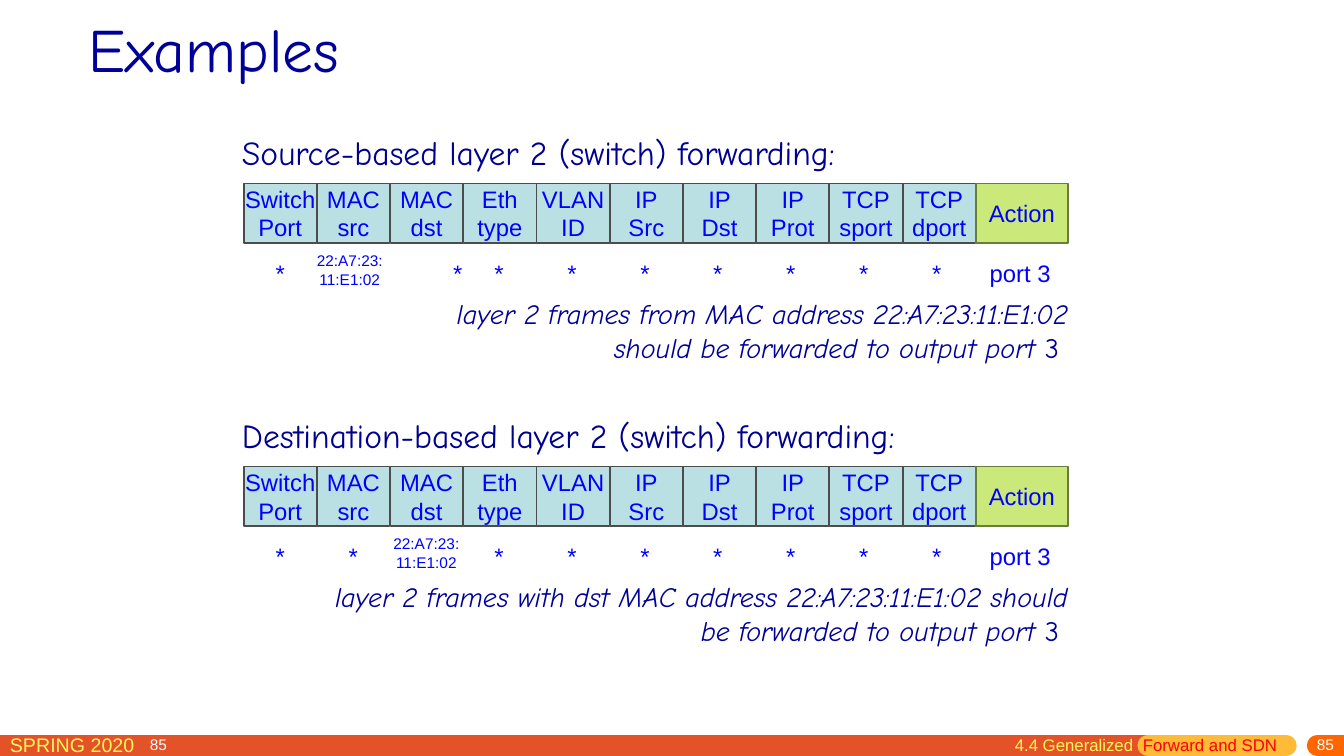
import pptx
import pptx.dml.color
import pptx.enum.shapes
import pptx.enum.text
import pptx.oxml
import pptx.oxml.ns
import pptx.util

Pt = pptx.util.Pt
RGB = pptx.dml.color.RGBColor.from_string
LEFT, CENTER, RIGHT = (getattr(pptx.enum.text.PP_ALIGN, name) for name in ("LEFT", "CENTER", "RIGHT"))
TOP, MIDDLE = pptx.enum.text.MSO_ANCHOR.TOP, pptx.enum.text.MSO_ANCHOR.MIDDLE

# Colours and type sizes
THEME = {
    "fields": {"match": ("BBE0E3", "4C4C4C"), "action": ("CBE97B", "697D3A")},
    "bars": {"main": "E45327", "section": "FFBA37", "number": "FF6600"},
    "text": {
        "title": ("000099", {"name": "Comic Neue", "size": Pt(44)}),
        "heading": ("000090", {"name": "Comic Neue", "size": Pt(24)}),
        "caption": ("000099", {"name": "Comic Neue", "size": Pt(20), "italic": True}),
        "upright": ("000099", {"name": "Comic Neue", "size": Pt(20), "italic": False}),
        "cell": ("0000FF", {"name": "Arial", "size": Pt(17)}),
        "address": ("0000FF", {"name": "Arial", "size": Pt(11)}),
        "term": ("FFF65C", {"name": "Arial", "size": Pt(14)}),
        "chapter": ("FFF65C", {"name": "Arial", "size": Pt(12)}),
        "section": ("FF0000", {"name": "Arial", "size": Pt(12)}),
        "number": ("FFFFFF", {"name": "Arial", "size": Pt(11)}),
    },
}


def write(shape, paragraphs, align, anchor=MIDDLE, margins=(0, 0, 0, 0)):
    """Fill a shape with paragraphs, each a list of (text, style) runs."""
    frame = shape.text_frame
    sides = ("margin_left", "margin_top", "margin_right", "margin_bottom")
    layout = dict(zip(sides, map(Pt, margins)), vertical_anchor=anchor, word_wrap=True)
    for name, value in layout.items():
        setattr(frame, name, value)
    for index, runs in enumerate(paragraphs):
        paragraph = frame.add_paragraph() if index else frame.paragraphs[0]
        paragraph.alignment = align
        for text, style in runs:
            run = paragraph.add_run()
            run.text = text
            color, font_format = THEME["text"][style]
            run.font.color.rgb = RGB(color)
            for name, value in font_format.items():
                setattr(run.font, name, value)


presentation = pptx.Presentation()
presentation.slide_width, presentation.slide_height = Pt(960), Pt(540)
slide = presentation.slides.add_slide(presentation.slide_layouts[5])

# Footer bars with round ends
for name, start, end in (("main", 0, 820), ("section", 820, 918.7), ("number", 941, 960)):
    bar = slide.shapes.add_connector(
        pptx.enum.shapes.MSO_CONNECTOR.STRAIGHT, Pt(start), Pt(532.4), Pt(end), Pt(532.4))
    bar.line.color.rgb = RGB(THEME["bars"][name])
    bar.line.width = Pt(15)
    bar.line._get_or_add_ln().set("cap", "rnd")
    bar._element.spPr.append(pptx.oxml.parse_xml(f'<a:effectLst {pptx.oxml.ns.nsdecls("a")}/>'))

# Title
title = slide.shapes.title
title.left, title.top, title.width, title.height = Pt(56.2), Pt(-10.8), Pt(221), Pt(90)
title.text_frame.auto_size = pptx.enum.text.MSO_AUTO_SIZE.NONE
write(title, [[("Examples", "title")]], LEFT, margins=(7.2, 3.6, 7.2, 3.6))

# Flow entries: a strip of fields, one rule below it, and what the rule does
FIELDS = ["Switch Port", "MAC src", "MAC dst", "Eth type", "VLAN ID",
          "IP Src", "IP Dst", "IP Prot", "TCP sport", "TCP dport", "Action"]
ADDRESS = "22:A7:23: 11:E1:02"
ANY = "*"
FIELD_LEFT, FIELD_STEP, FIELD_WIDTH, FIELD_HEIGHT = 174.2, 52.3, 52, 42.6
ACTION_WIDTH = 65.6
VALUE_STEP = 52.1
RIGHT_EDGE = 763.2
examples = [
    (94.3, "Source-based layer 2 (switch) forwarding:", [ANY, ADDRESS] + [ANY] * 8,
     "layer 2 frames from MAC address 22:A7:23:11:E1:02 should be forwarded to output port ", 480),
    (296.6, "Destination-based layer 2 (switch) forwarding:", [ANY, ANY, ADDRESS] + [ANY] * 7,
     "layer 2 frames with dst MAC address 22:A7:23:11:E1:02 should be forwarded to output port ", 527),
]
text_boxes = []
for top, heading, matches, caption, caption_width in examples:
    for index, (field, value) in enumerate(zip(FIELDS, matches + ["port 3"])):
        kind = "action" if field == "Action" else "match"
        fill, edge = THEME["fields"][kind]
        width = ACTION_WIDTH if kind == "action" else FIELD_WIDTH
        box = slide.shapes.add_shape(
            pptx.enum.shapes.MSO_SHAPE.RECTANGLE, Pt(FIELD_LEFT + index * FIELD_STEP),
            Pt(top + 36.6), Pt(width), Pt(FIELD_HEIGHT))
        box.shadow.inherit = False
        box.fill.solid()
        box.fill.fore_color.rgb = RGB(fill)
        box.line.color.rgb = RGB(edge)
        box.line.width = Pt(1)
        write(box, [[(word, "cell")] for word in field.split()], CENTER)

        left, value_top, height = FIELD_LEFT + index * VALUE_STEP, top + 87.8, 25.2
        lines = [[(value, "cell")]]
        if value == ADDRESS:
            value_top, height = top + 86.2, 24.5
            lines = [[(part, "address")] for part in value.split()]
            left += -2.4 if field == "MAC src" else 0.2
        elif kind == "action":
            left += 7.5
        elif field == "MAC dst":
            left += 18.3 + FIELD_HEIGHT / 2 - 18.3 + 1.4
        text_boxes.append(((left, value_top, FIELD_WIDTH, height), lines, CENTER, MIDDLE, (0, 0, 0, 0)))

    text_boxes += [
        ((172.8, top, 528, 28.8), [[(heading, "heading")]], LEFT, MIDDLE, (0, 0, 0, 0)),
        ((RIGHT_EDGE - caption_width, top + 117.4, caption_width, 48.2),
         [[(caption, "caption"), ("3 ", "upright")]], RIGHT, MIDDLE, (0, 0, 0, 0)),
    ]

# Footer texts
text_boxes += [
    ((0, 519.8, 165, 22.3), [[("SPRING 2020", "term")]], LEFT, TOP, (7.2, 3.6, 7.2, 3.6)),
    ((100, 527.8, 40, 10.8), [[("85", "number")]], LEFT, MIDDLE, (7.2, 0, 7.2, 3.6)),
    ((774, 527, 186, 13), [[("85", "number")]], RIGHT, MIDDLE, (7.2, 0, 7.2, 3.6)),
    ((717.8, 521.3, 92, 22.3), [[("4.4 Generalized", "chapter")]], LEFT, TOP, (7.2, 3.6, 0, 3.6)),
    ((809.2, 521.3, 112, 22.3), [[("Forward and SDN", "section")]], LEFT, TOP, (7.2, 3.6, 7.2, 3.6)),
]
for position, paragraphs, align, anchor, margins in text_boxes:
    write(slide.shapes.add_textbox(*map(Pt, position)), paragraphs, align, anchor, margins)

presentation.save("out.pptx")
